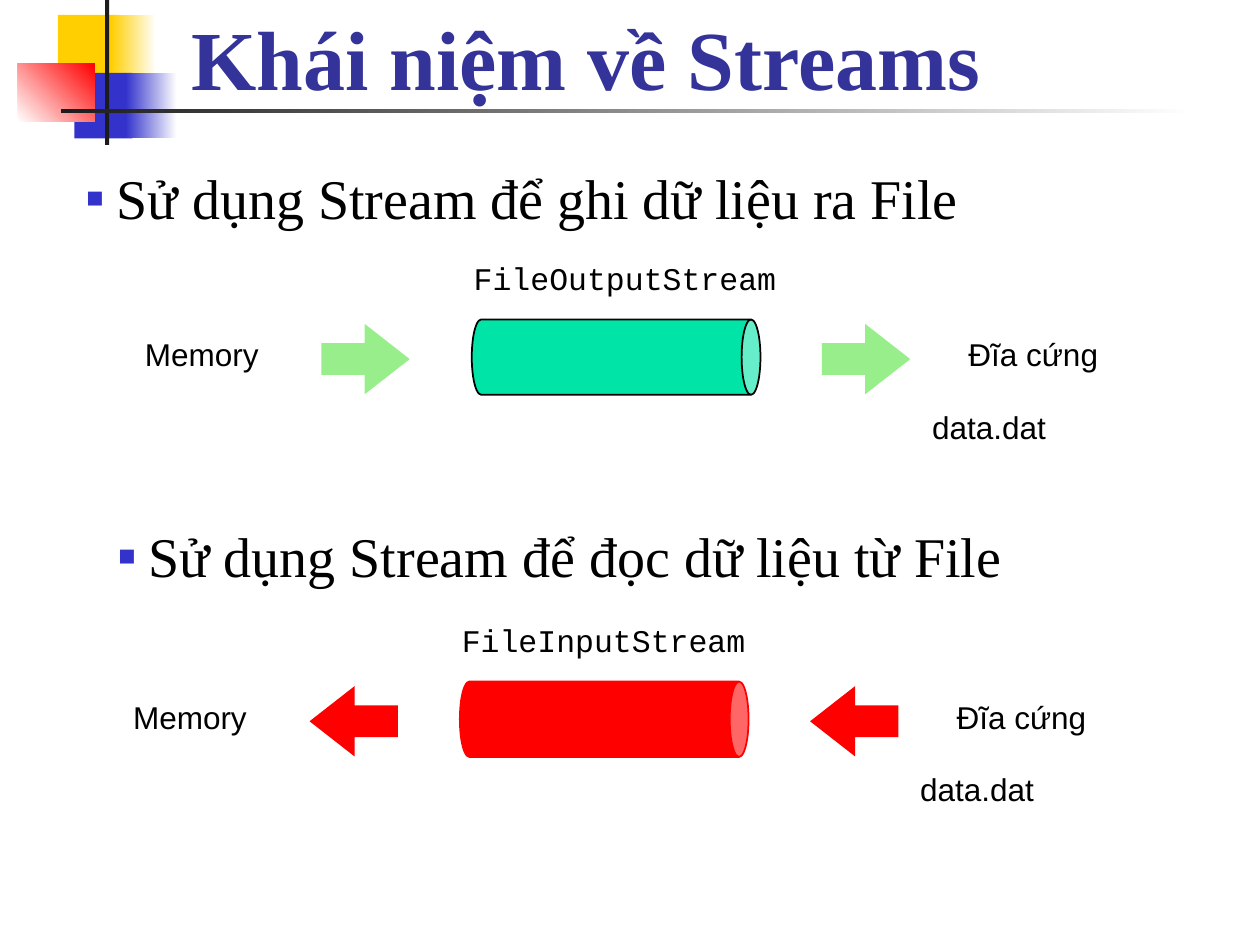
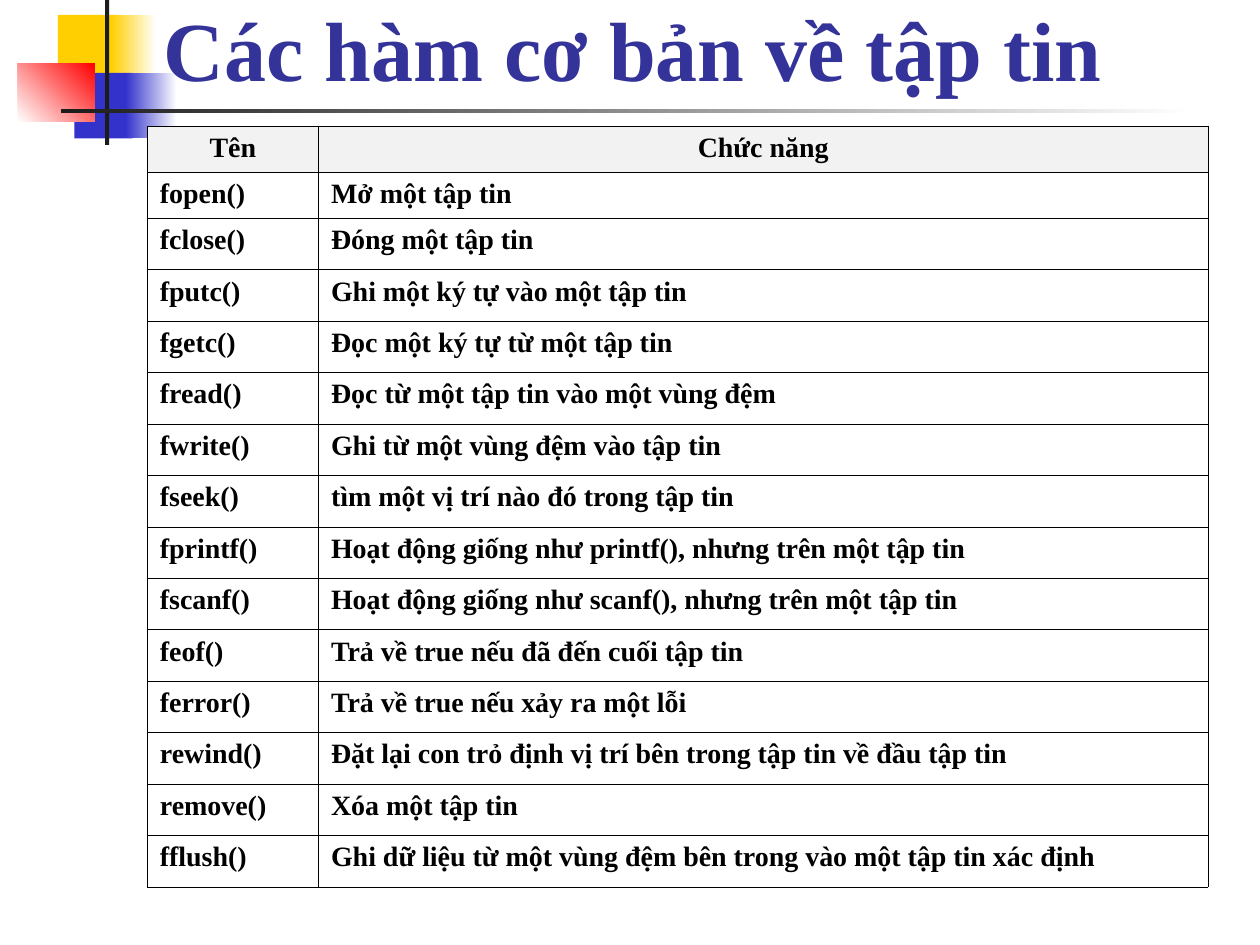
from pptx import Presentation
from pptx.dml.color import RGBColor
from pptx.enum import shapes, text
from pptx.oxml import parse_xml
from pptx.oxml.ns import nsdecls
from pptx.util import Cm, Pt

SERIF, SANS, MONO = "Times New Roman", "Arial", "Courier New"
BLACK, WHITE, INK = "000000", "FFFFFF", "1C1C1C"
BLUE, TITLE_BLUE, YELLOW, RED = "3333CC", "333399", "FFCF01", "FF0000"
MINT, LIGHT_GREEN, HEADER_GREY = "00E4A8", "98EE8A", "F2F2F2"
LEFT, CENTER, JUSTIFY = (text.PP_ALIGN.LEFT, text.PP_ALIGN.CENTER,
                         text.PP_ALIGN.JUSTIFY)
TOP, MIDDLE, BOTTOM = (text.MSO_ANCHOR.TOP, text.MSO_ANCHOR.MIDDLE,
                       text.MSO_ANCHOR.BOTTOM)

FUNCTIONS = [
    ("Tên", "Chức năng"),
    ("fopen()", "Mở một tập tin"),
    ("fclose()", "Đóng một tập tin"),
    ("fputc()", "Ghi một ký tự vào một tập tin"),
    ("fgetc()", "Đọc một ký tự từ một tập tin"),
    ("fread()", "Đọc từ một tập tin vào một vùng đệm"),
    ("fwrite()", "Ghi từ một vùng đệm vào tập tin"),
    ("fseek()", "tìm một vị trí nào đó trong tập tin"),
    ("fprintf()", "Hoạt động giống như printf(), nhưng trên một tập tin"),
    ("fscanf()", "Hoạt động giống như scanf(), nhưng trên một tập tin"),
    ("feof()", "Trả về true nếu đã đến cuối tập tin"),
    ("ferror()", "Trả về true nếu xảy ra một lỗi"),
    ("rewind()", "Đặt lại con trỏ định vị trí bên trong tập tin về đầu tập tin"),
    ("remove()", "Xóa một tập tin"),
    ("fflush()", "Ghi dữ liệu từ một vùng đệm bên trong vào một tập tin xác định"),
]


def rgb(color):
    """Turn a hex string into a colour."""
    return RGBColor.from_string(color)


def write(tf, words, size=18, font=SANS, color=BLACK, bold=False, align=LEFT,
          before=0, spacing=1.0):
    """Write one formatted paragraph into a text frame and return it."""
    p = tf.paragraphs[0]
    p.alignment, p.space_before, p.line_spacing = align, Pt(before), spacing
    r = p.add_run()
    r.text = words
    r.font.size, r.font.name, r.font.bold = Pt(size), font, bold
    r.font.color.rgb = rgb(color)
    return p


def add_text(s, box, words, anchor=TOP, **fmt):
    """Add a text box and return its paragraph."""
    tf = s.shapes.add_textbox(*map(Cm, box)).text_frame
    tf.word_wrap, tf.vertical_anchor = True, anchor
    return write(tf, words, **fmt)


def add_bullet(s, x, y, words):
    """Add a large line of text with a blue square bullet."""
    p = add_text(s, (x, y, 22.43, 1.63), words, size=32, font=SERIF,
                 align=JUSTIFY, before=6)
    pPr = p._p.get_or_add_pPr()
    pPr.set("marL", str(Cm(0.63)))
    pPr.set("indent", str(Cm(-0.63)))
    ns = nsdecls("a")
    for xml in (f'<a:buClr {ns}><a:srgbClr val="{BLUE}"/></a:buClr>',
                f'<a:buFont {ns} typeface="{SANS}"/>',
                f'<a:buChar {ns} char="▪"/>'):
        pPr.append(parse_xml(xml))


def add_shape(s, kind, box, fill, line=None, rotation=0, adjust=()):
    """Add a flat preset shape with a solid fill."""
    sp = s.shapes.add_shape(kind, *map(Cm, box))
    sp.shadow.inherit = False
    sp.rotation = rotation
    for i, value in enumerate(adjust):
        sp.adjustments[i] = value
    sp.fill.solid()
    sp.fill.fore_color.rgb = rgb(fill)
    if line:
        sp.line.color.rgb, sp.line.width = rgb(line), Pt(1)
    else:
        sp.line.fill.background()
    return sp


def decorate(layout, s):
    """Draw the squares and rules and move them to the layout."""
    parts = [
        ((1.17, 0.3, 1.22, 1.32), YELLOW, None, 0),
        ((2.24, 0.3, 0.91, 1.32), YELLOW, WHITE, 0),
        ((1.5, 1.47, 1.17, 1.32), BLUE, None, 0),
        ((2.54, 1.47, 1.02, 1.32), BLUE, WHITE, 0),
        ((0.36, 1.28, 1.55, 1.17), WHITE, RED, 45),
        ((2.12, 0, 0.08, 2.92), INK, None, 0),
        ((1.23, 2.2, 22.86, 0.08), INK, WHITE, 0),
    ]
    for box, start, end, angle in parts:
        sp = add_shape(s, shapes.MSO_SHAPE.RECTANGLE, box, start)
        if end:
            sp.fill.gradient()
            sp.fill.gradient_angle = angle
            for stop, color in zip(sp.fill.gradient_stops, (start, end)):
                stop.color.rgb = rgb(color)
        layout.shapes.element.append(sp.element)


def set_title(s, box, words):
    """Place and format the slide title."""
    sp = s.shapes.title
    sp.left, sp.top, sp.width, sp.height = map(Cm, box)
    tf = sp.text_frame
    tf.auto_size, tf.vertical_anchor = text.MSO_AUTO_SIZE.NONE, BOTTOM
    write(tf, words, size=48, font=SERIF, color=TITLE_BLUE, bold=True)


def add_stream(s, dx, dy, name, pipe, pipe_line, arrow, rotation):
    """Draw memory, pipe and disk joined by two block arrows."""
    add_shape(s, shapes.MSO_SHAPE.CAN, (11.66 + dx, 4.29 + dy, 1.52, 5.82),
              pipe, pipe_line, 90, [0.25])
    for x in (6.48, 16.57):
        add_shape(s, shapes.MSO_SHAPE.RIGHT_ARROW,
                  (x + dx, 6.53 + dy, 1.78, 1.42), arrow, None, rotation,
                  [0.452, 0.64])
    add_text(s, (9.3 + dx, 5.25 + dy, 7.26, 0.86), name, font=MONO,
             before=11.2, spacing=0.8)
    for x, words in ((2.07, "Memory"), (18.83, "Đĩa cứng")):
        add_text(s, (x + dx, 6.67 + dy, 4, 1.09), words, anchor=MIDDLE,
                 align=CENTER, before=4.5, spacing=0.8)
    add_text(s, (18.54 + dx, 8.25 + dy, 4.7, 0.86), "data.dat", before=4.5,
             spacing=0.8)


def format_cell(cell, words, header):
    """Fill, border and write one table cell."""
    cell.fill.solid()
    cell.fill.fore_color.rgb = rgb(HEADER_GREY if header else WHITE)
    write(cell.text_frame, words, size=16, font=SERIF, bold=True,
          align=CENTER if header else JUSTIFY)
    tcPr = cell._tc.get_or_add_tcPr()
    for i, side in enumerate(("lnL", "lnR", "lnT", "lnB")):
        tcPr.insert(i, parse_xml(
            f'<a:{side} {nsdecls("a")} w="{Pt(0.45)}"><a:solidFill>'
            f'<a:srgbClr val="{BLACK}"/></a:solidFill></a:{side}>'))


def add_function_table(s):
    """Add the table of file functions."""
    box = (2.97, 2.54, 21.38, 15.35)
    table = s.shapes.add_table(len(FUNCTIONS), 2, *map(Cm, box)).table
    table.first_row = table.horz_banding = False
    for column, width in zip(table.columns, (3.45, 17.93)):
        column.width = Cm(width)
    short = 0.93
    tall = (box[3] - 2 * short) / (len(FUNCTIONS) - 2)
    for i, row in enumerate(FUNCTIONS):
        table.rows[i].height = Cm(short if i < 2 else tall)
        for j, words in enumerate(row):
            format_cell(table.cell(i, j), words, header=i == 0)


def main():
    """Build and save the presentation."""
    prs = Presentation()
    prs.slide_width, prs.slide_height = Cm(25.4), Cm(19.05)
    layout = prs.slide_layouts[5]

    s = prs.slides.add_slide(layout)
    decorate(layout, s)
    set_title(s, (3.6, 0, 16.51, 2.29), "Khái niệm về Streams")
    add_bullet(s, 1.47, 3.18, "Sử dụng Stream để ghi dữ liệu ra File")
    add_stream(s, 0, 0, "FileOutputStream", MINT, BLACK, LIGHT_GREEN, 0)
    add_bullet(s, 2.11, 10.39, "Sử dụng Stream để đọc dữ liệu từ File")
    add_stream(s, -0.24, 7.3, "FileInputStream", RED, RED, RED, 180)

    s = prs.slides.add_slide(layout)
    set_title(s, (3.05, 0, 22.35, 2.11), "Các hàm cơ bản về tập tin")
    add_function_table(s)
    prs.save("out.pptx")


if __name__ == "__main__":
    main()
